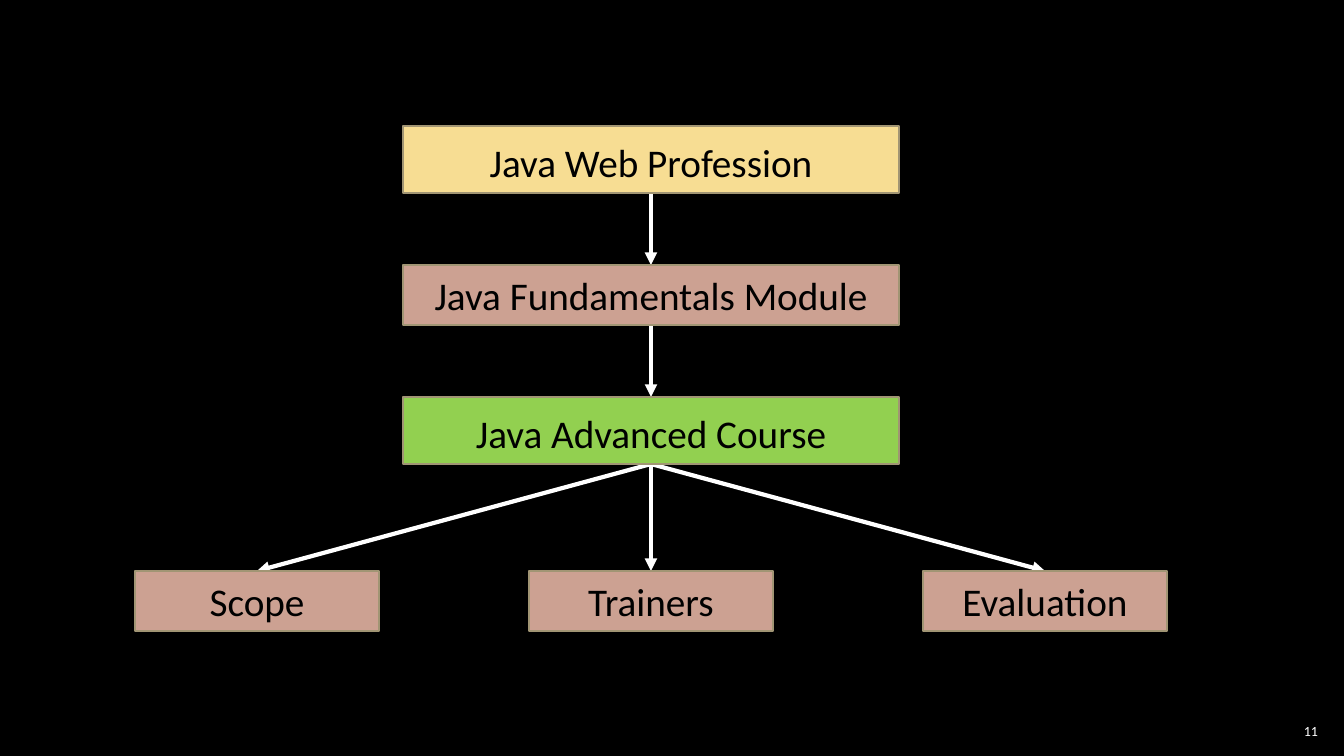
from lxml.etree import SubElement
from pptx import Presentation
from pptx.dml.color import RGBColor
from pptx.enum.shapes import MSO_CONNECTOR as Connector, MSO_SHAPE as Shape
from pptx.enum.text import MSO_ANCHOR as Anchor, PP_ALIGN as Align
from pptx.oxml.ns import qn
from pptx.util import Pt

PX = 914400 / 100.8
COLORS = {name: RGBColor.from_string(value) for name, value in {
    "background": "000000", "text": "000000", "light": "FFFFFF",
    "border": "A19574", "profession": "F7DD93", "module": "CCA192",
    "course": "92D050"}.items()}


def px(*lengths):
    return [round(length * PX) for length in lengths]


def add_run(frame, text, size, color, align, insets):
    frame.word_wrap = True
    (frame.margin_left, frame.margin_top,
     frame.margin_right, frame.margin_bottom) = px(*insets)
    paragraph = frame.paragraphs[0]
    paragraph.alignment = align
    run = paragraph.add_run()
    run.text = text
    run.font.name, run.font.size = "Calibri", Pt(size)
    run.font.color.rgb = COLORS[color]
    return paragraph


deck = Presentation()
deck.slide_width, deck.slide_height = px(1344, 756)
slide = deck.slides.add_slide(deck.slide_layouts[6])
slide.background.fill.solid()
slide.background.fill.fore_color.rgb = COLORS["background"]

# Layout: a central chain of levels, then a row of topics
AXIS, LEVEL_WIDTH = 651, 496
TOPIC_TOP, TOPIC_WIDTH, TOPIC_STEP = 571, 244, 394
TALL, LOW = 67, 60
levels = [("Java Web Profession", "profession", 126, TALL),
          ("Java Fundamentals Module", "module", 265, LOW),
          ("Java Advanced Course", "course", 397, TALL)]
topics = [(topic, AXIS + side * TOPIC_STEP) for side, topic
          in zip((-1, 0, 1), ("Scope", "Trainers", "Evaluation"))]

boxes = [(text, color, AXIS, top, LEVEL_WIDTH, height)
         for text, color, top, height in levels]
boxes += [(topic, "module", center, TOPIC_TOP, TOPIC_WIDTH, LOW)
          for topic, center in topics]

# Arrows between levels, then from the last level to each topic
arrows = [(upper[2] + upper[3], AXIS, lower[2])
          for upper, lower in zip(levels, levels[1:])]
course_bottom = levels[-1][2] + levels[-1][3]
arrows += [(course_bottom, center, TOPIC_TOP) for _, center in topics]

for start_y, end_x, end_y in arrows:
    arrow = slide.shapes.add_connector(
        Connector.STRAIGHT, *px(AXIS, start_y, end_x, end_y))
    arrow.line.color.rgb = COLORS["light"]
    arrow.line.width = Pt(3)
    SubElement(arrow.line._get_or_add_ln(), qn("a:tailEnd"), type="triangle")
    SubElement(arrow._element.spPr, qn("a:effectLst"))

# Boxes
for text, color, center, top, width, height in boxes:
    box = slide.shapes.add_shape(
        Shape.RECTANGLE, *px(center - width / 2, top, width, height))
    box.shadow.inherit = False
    box.fill.solid()
    box.fill.fore_color.rgb = COLORS[color]
    box.line.color.rgb = COLORS["border"]
    box.line.width = Pt(1)
    tall = height == TALL
    box.text_frame.vertical_anchor = Anchor.TOP if tall else Anchor.MIDDLE
    insets = (10, 12, 10, 5) if tall else (10, 0, 10, 0)
    label = add_run(box.text_frame, text, 28, "text", Align.CENTER, insets)
    label.space_before = label.space_after = Pt(3)

# Slide number
number = slide.shapes.add_textbox(*px(1275, 720, 47, 21)).text_frame
number.vertical_anchor = Anchor.MIDDLE
add_run(number, "11", 10, "light", Align.RIGHT, (4, 4, 4, 4))

deck.save("out.pptx")
